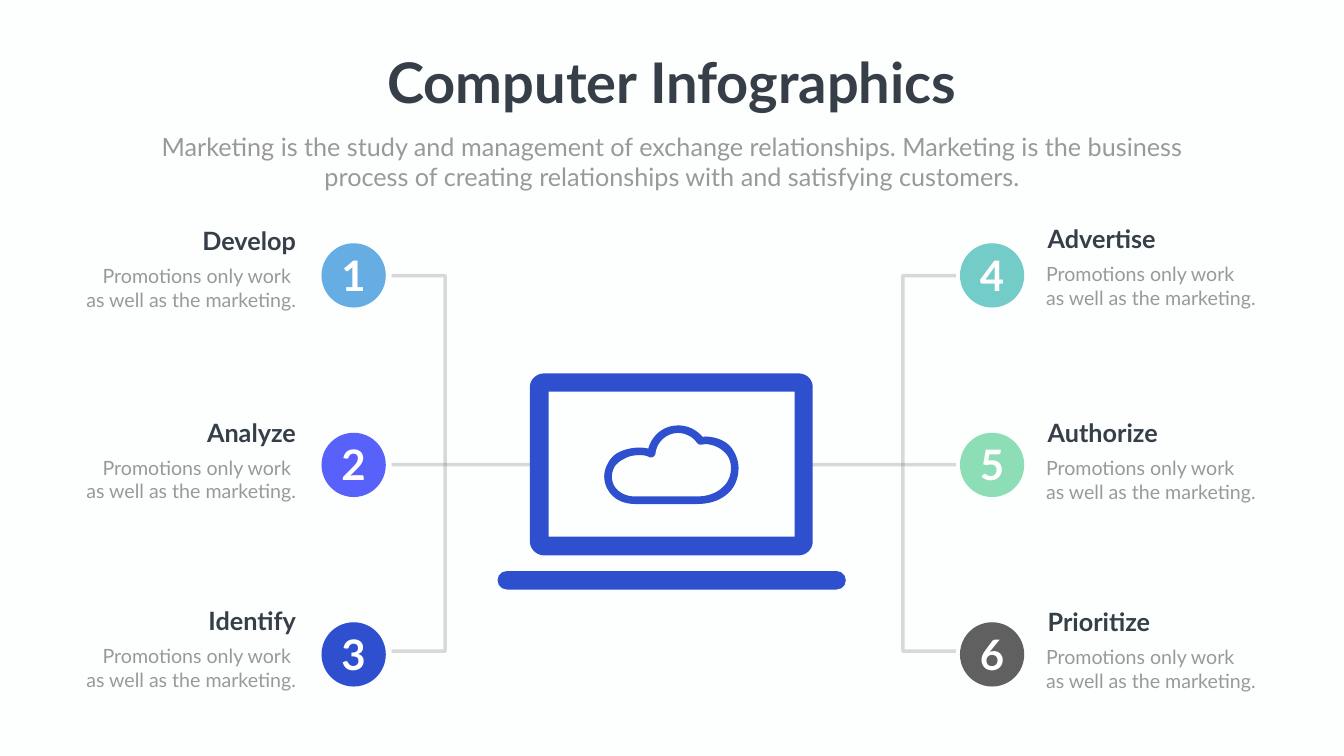
from lxml import etree
from pptx import Presentation
from pptx.dml.color import RGBColor
from pptx.enum.shapes import MSO_CONNECTOR, MSO_SHAPE
from pptx.enum.text import MSO_ANCHOR, MSO_AUTO_SIZE, PP_ALIGN
from pptx.oxml.ns import qn
from pptx.util import Cm, Pt

LEFT, CENTER, RIGHT = PP_ALIGN.LEFT, PP_ALIGN.CENTER, PP_ALIGN.RIGHT
TOP, MIDDLE = MSO_ANCHOR.TOP, MSO_ANCHOR.MIDDLE
FIT_SHAPE = MSO_AUTO_SIZE.SHAPE_TO_FIT_TEXT
OVAL, ROUNDED = MSO_SHAPE.OVAL, MSO_SHAPE.ROUNDED_RECTANGLE
STRAIGHT = MSO_CONNECTOR.STRAIGHT

FONT = "Lato"
PAPER = RGBColor(0xFD, 0xFF, 0xFE)
WHITE = RGBColor(0xFF, 0xFF, 0xFF)
INK = RGBColor(0x36, 0x3E, 0x48)
MUTED = RGBColor(0x99, 0x99, 0x99)
WIRE = RGBColor(0x80, 0x80, 0x80)
BLUE = RGBColor(0x2E, 0x50, 0xCE)
SKY = RGBColor(0x65, 0xAD, 0xE2)
VIOLET = RGBColor(0x58, 0x62, 0xFA)
TEAL = RGBColor(0x74, 0xCC, 0xC9)
MINT = RGBColor(0x8D, 0xDE, 0xB6)
GRAY = RGBColor(0x5F, 0x60, 0x5F)

# Content
TITLE = "Computer Infographics"
SUBTITLE = ("Marketing is the study and management of exchange relationships. "
            "Marketing is the business process of creating relationships with "
            "and satisfying customers.")
LEFT_NOTE = ["Promotions only work ", "as well as the marketing."]
RIGHT_NOTE = ["Promotions only work", "as well as the marketing."]
# Each step: number, heading, circle colour, heading top in cm
SIDES = [
    dict(align=RIGHT, note=LEFT_NOTE, circle_x=17.82, text_edge=15.16,
         heading_shift=0, wire_x=19.74, trunk_x=22.43, screen_x=27.38,
         steps=[("1", "Develop", SKY, 11.25),
                ("2", "Analyze", VIOLET, 20.9),
                ("3", "Identify", BLUE, 30.4)]),
    dict(align=LEFT, note=RIGHT_NOTE, circle_x=49.99, text_edge=52.46,
         heading_shift=0.08, wire_x=48.16, trunk_x=45.49, screen_x=40.56,
         steps=[("4", "Advertise", TEAL, 11.15),
                ("5", "Authorize", MINT, 20.93),
                ("6", "Prioritize", GRAY, 30.45)]),
]

# Layout in cm
PAGE_W, PAGE_H = 67.72, 38.1
FIRST_ROW, ROW_STEP = 13.88, 9.55
CIRCLE = 3.24
HEADING_W, HEADING_H = 6.63, 1.8
NOTE_W, NOTE_H, NOTE_DROP = 12.65, 2.64, 1.93
WIRE_TOP, WIRE_BOTTOM = 13.89, 32.82

# Outlines: a start point, then lines (x, y) and Bezier curves (six numbers)
ICON_UNIT = 0.0254
SCREEN_AT = (26.7, 18.82)
SCREEN = [
    [(28, 0), (533, 0), (549, 0, 561, 12, 561, 27), (561, 334),
     (561, 348, 549, 361, 533, 361), (28, 361),
     (13, 361, 0, 348, 0, 334), (0, 27), (0, 12, 13, 0, 28, 0)],
    [(37, 36), (37, 324), (525, 324), (525, 36)],
]
CLOUD_AT = (30.38, 21.44)
CLOUD = [
    [(186, 156), (64, 156), (40, 156, 20, 146, 10, 128),
     (0, 111, 0, 92, 10, 75), (15, 65, 23, 57, 34, 52),
     (45, 47, 59, 44, 73, 44), (80, 44, 85, 45, 90, 46),
     (97, 19, 121, 0, 149, 0), (168, 0, 185, 8, 198, 23),
     (200, 23, 202, 22, 204, 22), (224, 23, 241, 29, 253, 42),
     (263, 54, 269, 70, 269, 85), (269, 104, 262, 122, 249, 134),
     (233, 149, 212, 156, 186, 156)],
    [(73, 59), (61, 59, 50, 61, 41, 67), (34, 70, 27, 76, 23, 82),
     (16, 95, 16, 109, 23, 121), (31, 133, 45, 141, 64, 141), (186, 141),
     (208, 141, 226, 134, 237, 123), (248, 114, 254, 100, 254, 85),
     (254, 73, 250, 61, 241, 53), (232, 44, 219, 38, 204, 37),
     (202, 37, 199, 38, 195, 38), (192, 39, 189, 37, 187, 35),
     (179, 23, 164, 15, 149, 15), (126, 15, 106, 33, 104, 57),
     (103, 59, 102, 61, 100, 62), (97, 64, 94, 64, 92, 63),
     (87, 60, 81, 59, 73, 59)],
]


def place(shape, left, top, width, height):
    shape.left, shape.top = Cm(left), Cm(top)
    shape.width, shape.height = Cm(width), Cm(height)


def write(shape, lines, size, color, align, bold=False, anchor=TOP, wrap=True):
    frame = shape.text_frame
    frame.word_wrap = wrap
    frame.vertical_anchor = anchor
    for index, line in enumerate(lines):
        para = frame.add_paragraph() if index else frame.paragraphs[0]
        para.alignment = align
        span = para.add_run()
        span.text = line
        span.font.name, span.font.size = FONT, Pt(size)
        span.font.bold, span.font.color.rgb = bold, color
    return frame


def add_text(page, area, *args, **options):
    box = page.shapes.add_textbox(*map(Cm, area))
    write(box, *args, **options).auto_size = FIT_SHAPE


def paint(shape, color):
    shape.shadow.inherit = False
    shape.fill.solid()
    shape.fill.fore_color.rgb = color
    shape.line.fill.background()


def style_wire(shape):
    """Give a line the wide, mostly transparent gray stroke."""
    shape.line.color.rgb = WIRE
    shape.line.width = Pt(5)
    color = shape.line.fill.fore_color and shape.line._get_or_add_ln().find(
        ".//" + qn("a:srgbClr"))
    etree.SubElement(color, qn("a:alpha"), val="30000")


def trace(contour, steps=10):
    """Turn lines and Bezier curves into a list of points."""
    points = [contour[0]]
    for segment in contour[1:]:
        if len(segment) == 2:
            points.append(segment)
            continue
        start = points[-1]
        for step in range(1, steps + 1):
            t = step / steps
            u = 1 - t
            points.append(tuple(
                u**3 * start[axis] + 3 * u * u * t * segment[axis]
                + 3 * u * t * t * segment[2 + axis] + t**3 * segment[4 + axis]
                for axis in (0, 1)))
    return points


def add_icon(page, origin, contours):
    builder = None
    for contour in contours:
        points = [tuple(Cm(at + ICON_UNIT * value)
                        for at, value in zip(origin, point))
                  for point in trace(contour)]
        if builder is None:
            builder = page.shapes.build_freeform(*points[0], scale=1.0)
        else:
            builder.move_to(*points[0])
        builder.add_line_segments(points[1:], close=True)
    paint(builder.convert_to_shape(), BLUE)


def add_wires(page, side):
    end, trunk = Cm(side["wire_x"]), Cm(side["trunk_x"])
    top, bottom = Cm(WIRE_TOP), Cm(WIRE_BOTTOM)
    builder = page.shapes.build_freeform(end, top, scale=1.0)
    builder.add_line_segments([(trunk, top), (trunk, bottom), (end, bottom)],
                              close=False)
    bracket = builder.convert_to_shape()
    bracket.shadow.inherit = False
    bracket.fill.background()
    style_wire(bracket)
    middle = Cm(FIRST_ROW + ROW_STEP - 0.02)
    wire = page.shapes.add_connector(STRAIGHT, Cm(side["screen_x"]), middle,
                                     end, middle)
    style_wire(wire)
    etree.SubElement(wire._element.spPr, qn("a:effectLst"))


def add_steps(page, side):
    align, edge = side["align"], side["text_edge"]
    for row, (number, heading, color, top) in enumerate(side["steps"]):
        center = FIRST_ROW + row * ROW_STEP
        circle = page.shapes.add_shape(OVAL, 0, 0, 0, 0)
        place(circle, side["circle_x"] - CIRCLE / 2, center - CIRCLE / 2,
              CIRCLE, CIRCLE)
        paint(circle, color)
        frame = write(circle, [number], 60, WHITE, CENTER, True, MIDDLE, False)
        frame.margin_top = frame.margin_left = frame.margin_right = 0
        frame.margin_bottom = Cm(0.1)
        for lines, size, ink, bold, shift, drop, width, height in (
                ([heading], 36, INK, True, side["heading_shift"], 0,
                 HEADING_W, HEADING_H),
                (side["note"], 28, MUTED, False, 0, NOTE_DROP,
                 NOTE_W, NOTE_H)):
            left = edge + shift - (width if align == RIGHT else 0)
            add_text(page, (left, top + drop, width, height),
                     lines, size, ink, align, bold)


def main():
    deck = Presentation()
    deck.slide_width, deck.slide_height = Cm(PAGE_W), Cm(PAGE_H)
    page = deck.slides.add_slide(deck.slide_layouts[5])
    page.background.fill.solid()
    page.background.fill.fore_color.rgb = PAPER

    title = page.shapes.title
    place(title, (PAGE_W - 29.88) / 2, 2.29, 29.88, 3.68)
    write(title, [TITLE], 80, INK, CENTER, True, wrap=False).auto_size = FIT_SHAPE
    add_text(page, ((PAGE_W - 54.1) / 2, 6.48, 54.1, 3.33),
             [SUBTITLE], 36, MUTED, CENTER)

    for side in SIDES:
        add_wires(page, side)
    add_icon(page, CLOUD_AT, CLOUD)
    add_icon(page, SCREEN_AT, SCREEN)
    base = page.shapes.add_shape(ROUNDED, 0, 0, 0, 0)
    place(base, 25.07, 28.78, 17.55, 0.93)
    base.adjustments[0] = 0.5
    paint(base, BLUE)
    for side in SIDES:
        add_steps(page, side)
    deck.save("out.pptx")


if __name__ == "__main__":
    main()
